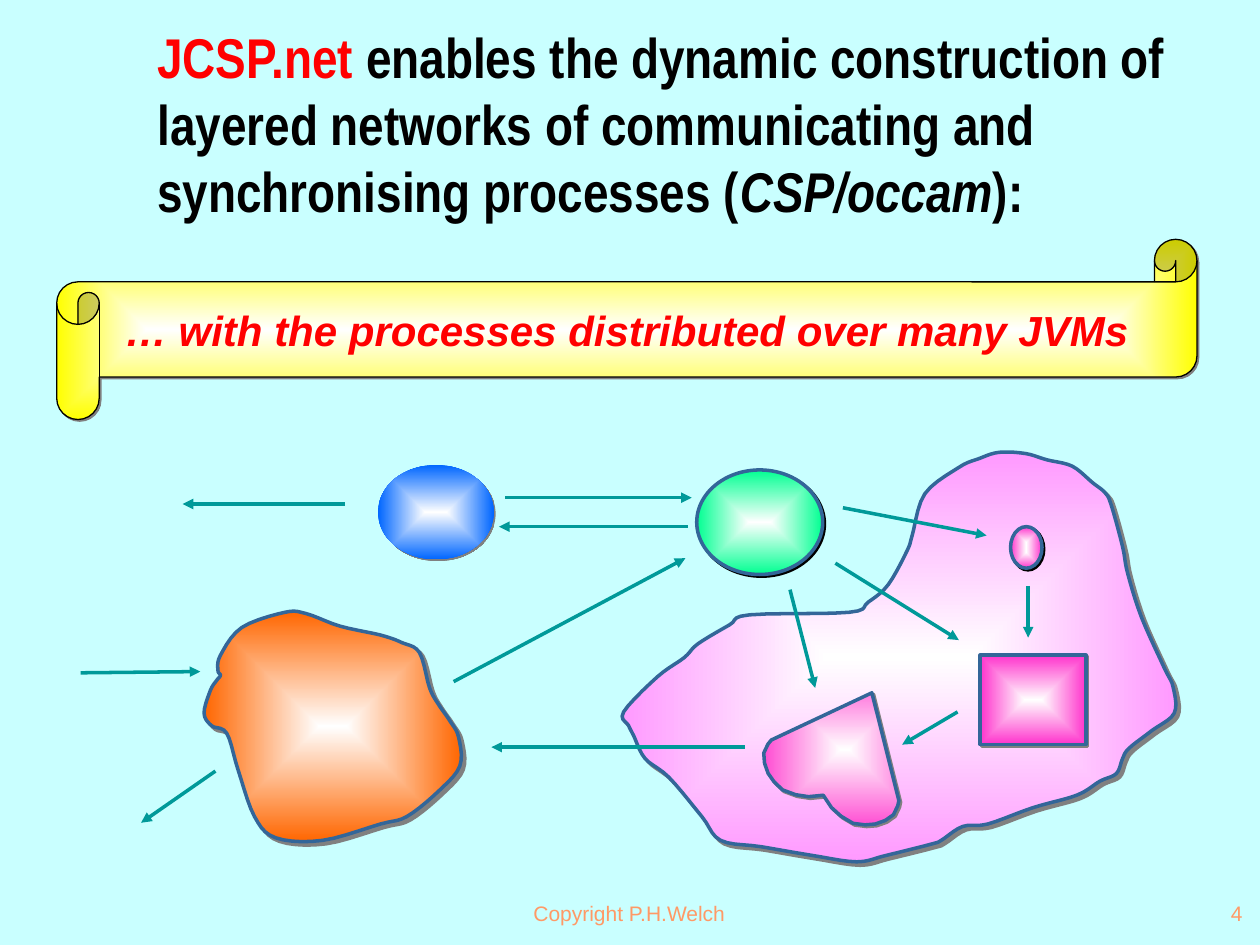
from math import cos, pi, sin
from pptx import Presentation
from pptx.dml.color import RGBColor
from pptx.enum.shapes import MSO_CONNECTOR, MSO_SHAPE
from pptx.enum.text import MSO_ANCHOR, MSO_AUTO_SIZE, PP_ALIGN
from pptx.oxml.ns import qn
from pptx.util import Emu, Pt
from lxml import etree

OVAL, RECT = MSO_SHAPE.OVAL, MSO_SHAPE.RECTANGLE
SCROLL = MSO_SHAPE.HORIZONTAL_SCROLL
LINE = MSO_CONNECTOR.STRAIGHT
LEFT, MID, RIGHT = PP_ALIGN.LEFT, PP_ALIGN.CENTER, PP_ALIGN.RIGHT
TOP, CENTRE = MSO_ANCHOR.TOP, MSO_ANCHOR.MIDDLE
GROW, FIXED = MSO_AUTO_SIZE.SHAPE_TO_FIT_TEXT, MSO_AUTO_SIZE.NONE

COLS, ROWS = 100, 75
CELL = 91440
INK, EDGE, WIRE = "010000", "336699", "009999"
GREY, PINK, RED, PEACH = "808080", "FF33CC", "FF0000", "FF9966"

HOST = [
    (49.5, 56.5), (52.2, 53.7), (54.3, 52.2), (55.4, 51.1), (57.9, 49.6),
    (59.5, 48.8), (67.4, 48.6), (68.9, 47.8), (70.5, 46.4), (72, 43.7),
    (72.4, 42.5), (73.4, 39.2), (76.1, 37.1), (77.7, 36.4), (79.3, 35.9),
    (81.4, 36), (83.1, 36.5), (85.1, 37), (86.7, 38.3), (87.7, 39.1),
    (88.2, 40.1), (89.1, 43.4), (89.5, 45.5), (90.6, 49), (92.4, 53),
    (93.1, 54.5), (93.2, 56.6), (91.4, 58), (89.6, 59.4), (89.1, 60.2),
    (88.6, 61.4), (87.3, 62), (85.5, 63.1), (82, 64.1), (78.4, 65.4),
    (76.4, 65.6), (74.7, 66.7), (73.9, 67), (70.3, 67.9), (68, 68.4),
    (64.5, 67.9), (60.4, 67.2), (57.2, 66.7), (55.7, 64.8), (53.1, 61.7),
    (51.2, 60.2), (50.3, 58.4), (49.9, 57.6)]
BLOB = [
    (17.3, 53.2), (17.5, 52), (19.2, 49.8), (22.6, 48.6), (24.3, 48.7),
    (27, 49.7), (30.2, 50.4), (31.9, 51), (33.3, 51.8), (34.1, 54.6),
    (34.8, 55.9), (35.7, 57.2), (36.4, 58.5), (36.5, 60.8), (34.8, 62.8),
    (32.3, 64.8), (30.2, 65.4), (25.6, 66.7), (21.9, 66.5), (20.2, 64.8),
    (18.9, 61.1), (18, 58.2), (16.8, 57.6), (16.2, 56.6), (16.7, 54.8),
    (17.2, 54), (17.5, 53.6)]
HALF = [
    (0, 5), (-5.6, -1.8), (-5.7, -2.2), (-5.7, -3), (-5.3, -3.7),
    (-4.7, -4.3), (-4, -4.7), (-3.1, -5), (-2, -4.9), (-1, -4.6), (0, -4)]
HUB, TURN = (67.05, 59.5), 205.4
WIRES = [
    (40.1, 39.5, 54.9, 39.5), (54.6, 41.8, 39.6, 41.8), (36, 54.1, 54.4, 44.3),
    (27.4, 40, 14.5, 40), (6.4, 53.4, 15.9, 53.3), (17.1, 61.2, 11.2, 65.3),
    (59.1, 59.3, 39, 59.3), (62.7, 46.8, 64.7, 54.6), (76, 56.5, 71.6, 59.1),
    (66.3, 44.7, 76.1, 50.8), (66.9, 40.3, 78.3, 42.5), (81.6, 46.5, 81.6, 50.6)]


def size(n):
    return Emu(round(n * CELL))


def tint(code):
    return RGBColor.from_string(code)


def sub(node, tag, **vals):
    return etree.SubElement(node, qn("a:" + tag), vals)


def smooth(pts, steps=5):
    out = []
    for i in range(len(pts)):
        quad = [pts[(i + k) % len(pts)] for k in (-1, 0, 1, 2)]
        for s in range(steps):
            t = s / steps
            out.append(tuple(
                b + t * (c - a) / 2 + t * t * (2 * a - 5 * b + 4 * c - d) / 2
                + t ** 3 * (3 * b - a - 3 * c + d) / 2
                for a, b, c, d in zip(*quad)))
    return out


def paint(shape, fill, line=EDGE, width=2, shade=GREY, drop=1.4):
    shape.fill.gradient()
    for stop, code in zip(shape.fill.gradient_stops, ("FFFFFF", fill)):
        stop.color.rgb = tint(code)
    props = shape._element.spPr
    grad = props.find(qn("a:gradFill"))
    grad.remove(grad.find(qn("a:lin")))
    sub(sub(grad, "path", path="rect"), "fillToRect",
        **dict.fromkeys("ltrb", "50000"))
    if line:
        shape.line.color.rgb = tint(line)
        shape.line.width = Pt(width)
    else:
        shape.line.fill.background()
    shape.shadow.inherit = False
    cast = sub(props.find(qn("a:effectLst")), "outerShdw", dist=str(Pt(drop)),
               dir="2700000", algn="ctr", rotWithShape="0")
    sub(cast, "srgbClr", val=shade)


def preset(shapes, kind, box, fill, **look):
    shape = shapes.add_shape(kind, *map(size, box))
    paint(shape, fill, **look)
    return shape


def outline(shapes, pts, fill, **look):
    dots = [(size(x), size(y)) for x, y in pts]
    pen = shapes.build_freeform(*dots[0], scale=1.0)
    pen.add_line_segments(dots[1:], close=True)
    shape = pen.convert_to_shape()
    paint(shape, fill, **look)
    return shape


def heart(shapes):
    ring = HALF + [(-x, y) for x, y in HALF[-2:0:-1]]
    shape = outline(shapes, [(HUB[0] + x, HUB[1] + y) for x, y in ring], PINK)
    shape.rotation = TURN


def arrow(shapes, ends):
    wire = shapes.add_connector(LINE, *map(size, ends))
    wire.line.color.rgb = tint(WIRE)
    wire.line.width = Pt(2)
    props = wire._element.spPr
    sub(props.find(qn("a:ln")), "tailEnd", type="triangle")
    sub(props, "effectLst")


def label(shapes, box, runs, base, align=LEFT, anchor=TOP, fit=GROW):
    frame = shapes.add_textbox(*map(size, box)).text_frame
    setup = dict(word_wrap=True, auto_size=fit, vertical_anchor=anchor)
    for key, val in setup.items():
        setattr(frame, key, val)
    para = frame.paragraphs[0]
    para.alignment = align
    for text, code, extra in runs:
        run = para.add_run()
        run.text = text
        run.font.color.rgb = tint(code)
        for key, val in {**base, **extra}.items():
            setattr(run.font, key, val)


def network(shapes):
    outline(shapes, smooth(HOST), "FF99FF", drop=2.8)
    preset(shapes, OVAL, (30, 36.9, 9.2, 7.5), "0066FF", line=None)
    preset(shapes, OVAL, (55.3, 37.3, 10, 8.3), "00FF91", shade=INK)
    preset(shapes, OVAL, (80.2, 41.8, 2.5, 3.3), PINK, shade=INK)
    heart(shapes)
    preset(shapes, RECT, (77.8, 52, 8.4, 7.1), PINK)
    outline(shapes, smooth(BLOB), "FF6600", drop=2.8)
    for ends in WIRES:
        arrow(shapes, ends)


def banner(shapes):
    roll = preset(shapes, SCROLL, (4.5, 19, 90.5, 14.3), "FFFF00",
                  line=INK, width=0.75)
    roll.adjustments[0] = 0.236
    label(shapes, (7.7, 23.7, 84.1, 5),
          [("… with the processes distributed over many JVMs", RED, {})],
          dict(name="Arial", size=Pt(24), bold=True, italic=True), MID)


def main():
    deck = Presentation()
    deck.slide_width, deck.slide_height = size(COLS), size(ROWS)
    slide = deck.slides.add_slide(deck.slide_layouts[6])
    back = slide.background.fill
    back.solid()
    back.fore_color.rgb = tint("C9FFFF")
    shapes = slide.shapes
    label(shapes, (11.5, 1.3, 83.9, 17), [
        ("JCSP.net", RED, {}),
        (" enables the dynamic construction of layered networks of "
         "communicating and synchronising processes (", INK, {}),
        ("CSP/occam", INK, dict(italic=True)),
        ("):", INK, {})], dict(name="Arial Narrow", size=Pt(32), bold=True))
    network(shapes.add_group_shape().shapes)
    banner(shapes.add_group_shape().shapes)
    small = dict(name="Arial", size=Pt(12))
    for left, wide, text, align in ((34.1, 31.7, "Copyright P.H.Welch", MID),
                                    (78.8, 20.8, "4", RIGHT)):
        label(shapes, (left, 70, wide, 5), [(text, PEACH, {})], small,
              align, CENTRE, FIXED)
    deck.save("out.pptx")


if __name__ == "__main__":
    main()
